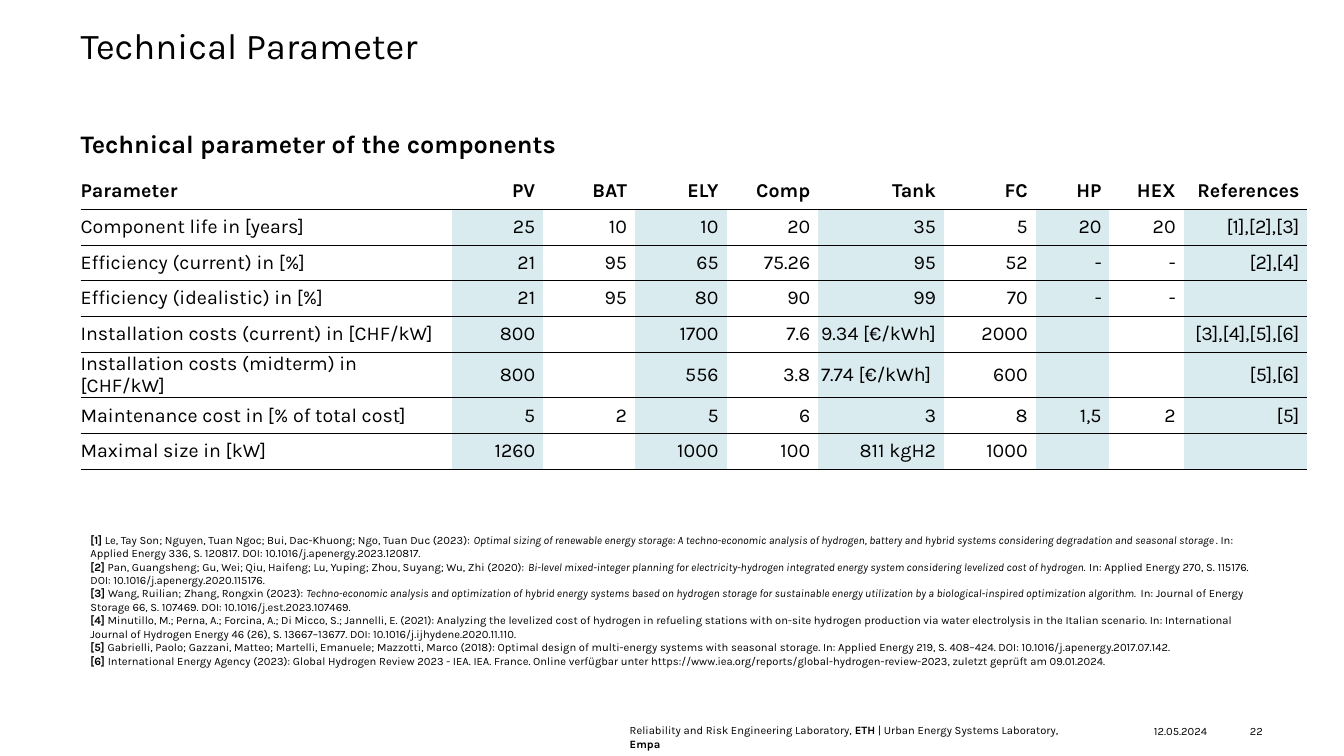
from lxml import etree
from pptx import Presentation
from pptx import util as u
from pptx.dml import color
from pptx.enum import text as t
from pptx.oxml import ns

Cm, Pt = u.Cm, u.Pt
rgb = color.RGBColor.from_string
THEME = {
    "font": "Karla", "ink": rgb("000000"), "paper": rgb("FFFFFF"), "tint": rgb("D9EBEF"),
    "title": Pt(26), "head": Pt(18), "cell": Pt(14), "note": Pt(8),
}
LEFT, RIGHT = t.PP_ALIGN.LEFT, t.PP_ALIGN.RIGHT
TOP, MID = t.MSO_ANCHOR.TOP, t.MSO_ANCHOR.MIDDLE
BARE = {"margin_left": 0, "margin_top": 0, "margin_right": 0, "margin_bottom": 0}


def write(frame, lines, size, align=LEFT, space=None):
    """Fill a frame; each line is a list of (text, style), style being "", "b" or "i"."""
    for n, line in enumerate(lines):
        para = frame.add_paragraph() if n else frame.paragraphs[0]
        para.alignment, para.space_before = align, Pt(0)
        para.line_spacing = space
        for words, style in line:
            run = para.add_run()
            run.text = words
            form = {"name": THEME["font"], "size": THEME[size],
                    "bold": style == "b", "italic": style == "i"}
            for key, val in form.items():
                setattr(run.font, key, val)
            run.font.color.rgb = THEME["ink"]


def place(shape, box, anchor=TOP, bare=True):
    """Move a shape to a box in centimetres and set up its frame."""
    for key, val in zip(("left", "top", "width", "height"), box):
        setattr(shape, key, Cm(val))
    form = {"word_wrap": True, "auto_size": t.MSO_AUTO_SIZE.NONE, "vertical_anchor": anchor}
    for key, val in {**form, **(BARE if bare else {})}.items():
        setattr(shape.text_frame, key, val)
    return shape.text_frame


deck = Presentation()
deck.slide_width, deck.slide_height = Cm(33.87), Cm(19.05)
slide = deck.slides.add_slide(deck.slide_layouts[1])

# Title and heading
frame = place(slide.shapes.title, (2.03, 0.71, 29.79, 2.49))
write(frame, [[("Technical Parameter", "")]], "title", space=0.9)

frame = place(slide.placeholders[1], (2.03, 3.23, 29.79, 1.09))
props = frame.paragraphs[0]._p.get_or_add_pPr()
props.set("marL", "0")
props.set("indent", "0")
write(frame, [[("Technical parameter of the components", "b")]], "head")
etree.SubElement(props, ns.qn("a:buNone"))

# Table
ROWS = [
    ["Parameter", "PV", "BAT", "ELY", "Comp", "Tank", "FC", "HP", "HEX", "References"],
    ["Component life in [years]", "25", "10", "10", "20", "35", "5", "20", "20", "[1],[2],[3]"],
    ["Efficiency (current) in [%]", "21", "95", "65", "75.26", "95", "52", "-", "-", "[2],[4]"],
    ["Efficiency (idealistic) in [%]", "21", "95", "80", "90", "99", "70", "-", "-", ""],
    ["Installation costs (current) in [CHF/kW]", "800", "", "1700", "7.6", "9.34 [€/kWh]",
     "2000", "", "", "[3],[4],[5],[6]"],
    ["Installation costs (midterm) in [CHF/kW]", "800", "", "556", "3.8", "7.74 [€/kWh] ",
     "600", "", "", "[5],[6]"],
    ["Maintenance cost in [% of total cost]", "5", "2", "5", "6", "3", "8", "1,5", "2", "[5]"],
    ["Maximal size in [kW]", "1260", "", "1000", "100", "811 kgH2", "1000", "", "", ""],
]
COLS = [9.35, 2.31, 2.31, 2.31, 2.31, 3.17, 2.31, 1.86, 1.87, 3.12]
HIGH = 0.9
PLAIN = "{2D5ABB26-0587-4C30-8999-92F81FD0307C}"

table = slide.shapes.add_table(
    len(ROWS), len(COLS), Cm(2.03), Cm(4.37), Cm(sum(COLS)), Cm(HIGH * len(ROWS))).table
table.horz_banding = False
table._tbl.tblPr.find(ns.qn("a:tableStyleId")).text = PLAIN
for col, wide in zip(table.columns, COLS):
    col.width = Cm(wide)
for r, row in enumerate(ROWS):
    table.rows[r].height = Cm(HIGH)
    for c, words in enumerate(row):
        cell = table.cell(r, c)
        form = {**BARE, "margin_right": Cm(0.2), "vertical_anchor": MID}
        for key, val in form.items():
            setattr(cell, key, val)
        if words:
            write(cell.text_frame, [[(words, "" if r else "b")]], "cell", RIGHT if c else LEFT)
        # Rule below the cell
        rule = etree.SubElement(cell._tc.get_or_add_tcPr(), ns.qn("a:lnB"),
                                w=str(Pt(0.5 if r else 1)))
        ink = etree.SubElement(rule, ns.qn("a:solidFill"))
        etree.SubElement(ink, ns.qn("a:srgbClr"), val=str(THEME["ink"]))
        # Tint on every other column below the header
        cell.fill.solid()
        cell.fill.fore_color.rgb = THEME["tint" if r and c % 2 else "paper"]

# References
REFS = [
    [("[1]", "b"),
     (" Le, Tay Son; Nguyen, Tuan Ngoc; Bui, Dac-Khuong; Ngo, Tuan Duc (2023): ", ""),
     ("Optimal sizing of renewable energy storage: A techno-economic analysis of hydrogen, "
      "battery and hybrid systems considering degradation and seasonal storage", "i"),
     (". In: Applied Energy 336, S. 120817. DOI: 10.1016/j.apenergy.2023.120817.", "")],
    [("[2]", "b"),
     (" Pan, Guangsheng; Gu, Wei; Qiu, Haifeng; Lu, Yuping; Zhou, Suyang; Wu, Zhi (2020): ", ""),
     ("Bi-level mixed-integer planning for electricity-hydrogen integrated energy system "
      "considering levelized cost of hydrogen. ", "i"),
     ("In: Applied Energy 270, S. 115176. DOI: 10.1016/j.apenergy.2020.115176.", "")],
    [("[3] ", "b"),
     ("Wang, Ruilian; Zhang, Rongxin (2023): ", ""),
     ("Techno-economic analysis and optimization of hybrid energy systems based on hydrogen "
      "storage for sustainable energy utilization by a biological-inspired optimization "
      "algorithm.", "i"),
     (" In: Journal of Energy Storage 66, S. 107469. DOI: 10.1016/j.est.2023.107469.", "")],
    [("[4] ", "b"),
     ("Minutillo, M.; Perna, A.; Forcina, A.; Di Micco, S.; Jannelli, E. (2021): Analyzing the "
      "levelized cost of hydrogen in refueling stations with on-site hydrogen production via "
      "water electrolysis in the Italian scenario. In: International Journal of Hydrogen Energy "
      "46 (26), S. 13667–13677. DOI: 10.1016/j.ijhydene.2020.11.110.", "")],
    [("[5] ", "b"),
     ("Gabrielli, Paolo; Gazzani, Matteo; Martelli, Emanuele; Mazzotti, Marco (2018): Optimal "
      "design of multi-energy systems with seasonal storage. In: Applied Energy 219, "
      "S. 408–424. DOI: 10.1016/j.apenergy.2017.07.142.", "")],
    [("[6] ", "b"),
     ("International Energy Agency (2023): Global Hydrogen Review 2023 - IEA. IEA. France. "
      "Online verfügbar unter https://www.iea.org/reports/global-hydrogen-review-2023, "
      "zuletzt geprüft am 09.01.2024.", "")],
]
LAB = [("Reliability and Risk Engineering Laboratory, ", ""), ("ETH", "b"),
       (" | Urban Energy Systems Laboratory, ", ""), ("Empa", "b")]

# Reference box and footer: box, lines, align, anchor, bare
NOTES = [
    ((2.03, 13.31, 29.79, 4.22), REFS, LEFT, TOP, False),
    ((15.62, 18.11, 11.86, 0.61), [LAB], LEFT, TOP, False),
    ((29.08, 18.11, 1.7, 0.61), [[("12.05.2024", "")]], LEFT, MID, True),
    ((30.94, 18.11, 0.89, 0.61), [[("22", "")]], RIGHT, MID, True),
]
for box, lines, align, anchor, bare in NOTES:
    note = slide.shapes.add_textbox(0, 0, 0, 0)
    write(place(note, box, anchor, bare), lines, "note", align)

deck.save("out.pptx")
